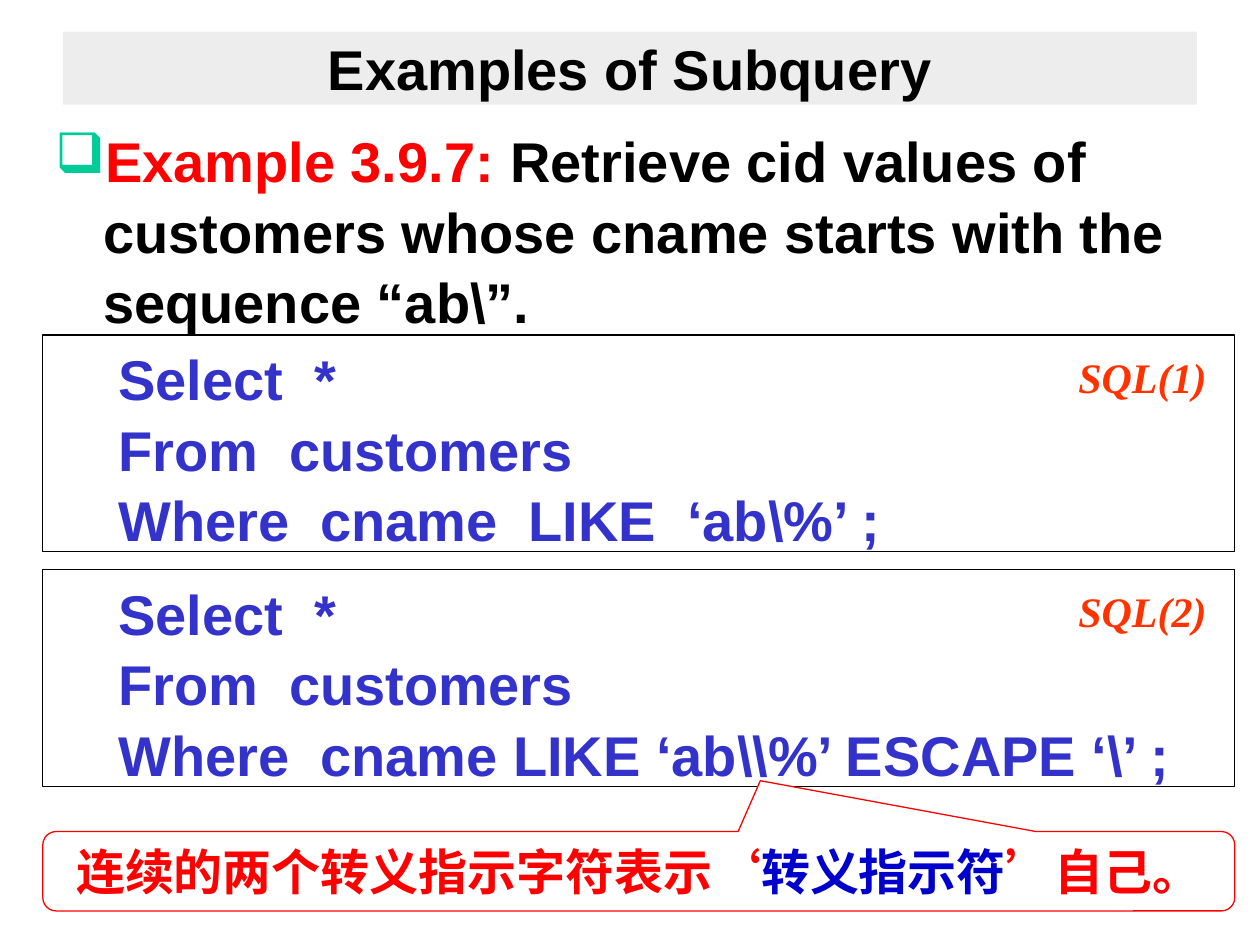
"""Build the slide on escaping characters in SQL LIKE patterns."""
import dataclasses
import typing

import lxml.etree
import pptx
import pptx.dml.color
import pptx.enum.shapes
import pptx.enum.text
import pptx.oxml.ns
import pptx.util

Inches, Pt = pptx.util.Inches, pptx.util.Pt
SHAPE = pptx.enum.shapes.MSO_SHAPE
ALIGN = pptx.enum.text.PP_ALIGN
ANCHOR = pptx.enum.text.MSO_ANCHOR
LEFT, WIDTH = 0.34, 9.46
BLUE, RED = "3333CC", "FF0000"


@dataclasses.dataclass
class Query:
    label: str
    top: float
    lines: typing.Tuple[str, ...]


QUERIES = [
    Query("SQL(1)", 2.66, ("Select  *", "From  customers", "Where  cname  LIKE  ‘ab\\%’ ;")),
    Query("SQL(2)", 4.52, ("Select  *", "From  customers", "Where  cname LIKE ‘ab\\\\%’ ESCAPE ‘\\’ ;")),
]


def rgb(value: str) -> pptx.dml.color.RGBColor:
    return pptx.dml.color.RGBColor.from_string(value)


def sub(parent, tag: str, **attrs: str):
    return lxml.etree.SubElement(parent, pptx.oxml.ns.qn(tag), attrs)


def write(p, text: str, size=32, color="000000", font="Arial", italic=False) -> None:
    r = p.add_run()
    r.text = text
    r.font.name, r.font.size = font, Pt(size)
    r.font.bold, r.font.italic = True, italic
    r.font.color.rgb = rgb(color)


def indent(p, left: float, first: float) -> None:
    pPr = p._p.get_or_add_pPr()
    pPr.set("marL", str(Inches(left)))
    pPr.set("indent", str(Inches(first)))


def place(sp, left: float, top: float, width: float, height: float) -> None:
    sp.left, sp.top = Inches(left), Inches(top)
    sp.width, sp.height = Inches(width), Inches(height)


def add_text(shapes, left: float, top: float, width: float, height: float):
    sp = shapes.add_textbox(Inches(left), Inches(top), Inches(width), Inches(height))
    sp.text_frame.word_wrap = True
    return sp.text_frame


def add_panel(shapes, kind, top: float, height: float, line: str):
    sp = shapes.add_shape(kind, Inches(LEFT), Inches(top), Inches(WIDTH), Inches(height))
    sp.shadow.inherit = False
    sp.fill.solid()
    sp.fill.fore_color.rgb = rgb("FFFFFF")
    sp.line.color.rgb = rgb(line)
    sp.line.width = Pt(0.75)
    sp.text_frame.word_wrap = True
    return sp


def add_title(s) -> None:
    sp = s.shapes.title
    place(sp, 0.5, 0.25, 9, 0.58)
    sp.fill.solid()
    sp.fill.fore_color.rgb = rgb("DDDDDD")
    color = sp.fill._xPr.find(".//" + pptx.oxml.ns.qn("a:srgbClr"))
    sub(color, "a:alpha", val="50000")
    tf = sp.text_frame
    tf.vertical_anchor = ANCHOR.MIDDLE
    p = tf.paragraphs[0]
    p.alignment = ALIGN.CENTER
    write(p, "Examples of Subquery")


def add_task(s) -> None:
    p = add_text(s.shapes, LEFT, 0.93, WIDTH, 1.72).paragraphs[0]
    p.line_spacing = 1.05
    indent(p, 0.38, -0.38)
    pPr = p._p.get_or_add_pPr()
    sub(sub(pPr, "a:buClr"), "a:srgbClr", val="00CC99")
    sub(pPr, "a:buChar", char="❑")
    write(p, "Example 3.9.7: ", color=RED)
    write(p, "Retrieve cid values of customers whose cname starts with the sequence “ab\\”.")


def add_query(s, query: Query) -> None:
    group = s.shapes.add_group_shape()
    tf = add_panel(group.shapes, SHAPE.RECTANGLE, query.top, 1.72, "000000").text_frame
    tf.vertical_anchor = ANCHOR.TOP
    for i, line in enumerate(query.lines):
        p = tf.add_paragraph() if i else tf.paragraphs[0]
        p.level, p.alignment = 1, ALIGN.LEFT
        p.line_spacing = 1.05
        indent(p, 0.81, -0.31)
        write(p, line, color=BLUE)
    tf = add_text(group.shapes, 8.46, query.top + 0.08, 1.25, 0.5)
    write(tf.paragraphs[0], query.label, 24, "FF3300", "Times New Roman", True)


def add_callout(s) -> None:
    sp = add_panel(s.shapes, SHAPE.ROUNDED_RECTANGULAR_CALLOUT, 6.6, 0.63, RED)
    for i, value in enumerate((0.102, -1.141, 0.167)):
        sp.adjustments[i] = value
    tf = sp.text_frame
    tf.margin_left = tf.margin_right = 0
    tf.vertical_anchor = ANCHOR.TOP
    p = tf.paragraphs[0]
    p.alignment = ALIGN.CENTER
    write(p, "连续的两个转义指示字符表示‘", 28, RED)
    write(p, "转义指示符", 28, "0000CC")
    write(p, "’自己。", 28, RED)


def main() -> None:
    prs = pptx.Presentation()
    prs.slide_width, prs.slide_height = Inches(10), Inches(7.5)
    s = prs.slides.add_slide(prs.slide_layouts[5])
    add_title(s)
    add_task(s)
    for query in QUERIES:
        add_query(s, query)
    add_callout(s)
    prs.save("out.pptx")


if __name__ == "__main__":
    main()
